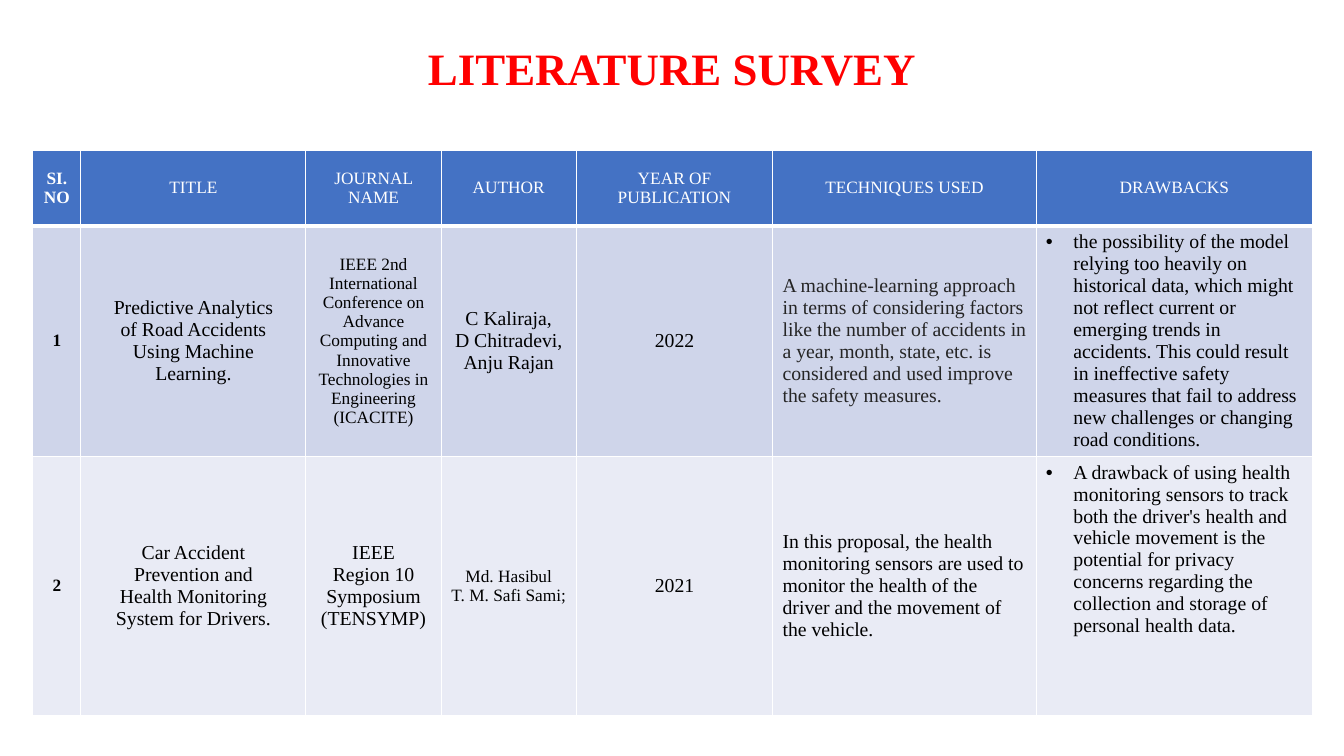
from pptx import Presentation
from pptx import util as u
from pptx.dml.color import RGBColor
from pptx.enum import text
from pptx.oxml import parse_xml
from pptx.oxml.ns import nsdecls

COLORS = {"title": "FF0000", "header": "4472C4", "odd": "CFD5EA", "even": "E9EBF5",
          "white": "FFFFFF", "black": "000000", "gray": "252525"}
FONT = "Times New Roman"
LEFT, CENTER = text.PP_ALIGN.LEFT, text.PP_ALIGN.CENTER
TOP, MIDDLE = text.MSO_ANCHOR.TOP, text.MSO_ANCHOR.MIDDLE

COLUMN_WIDTHS = [0.54, 2.53, 1.52, 1.52, 2.21, 2.96, 3.11]
ROW_HEIGHTS = [0.85, 1.94, 2.92]
HEADERS = ["SI.NO", "TITLE", "JOURNAL NAME", "AUTHOR", "YEAR OF PUBLICATION",
           "TECHNIQUES USED", "DRAWBACKS"]
PAPERS = [
    ["1",
     "Predictive Analytics\nof Road Accidents\nUsing Machine\nLearning.",
     "IEEE 2nd International Conference on Advance Computing and Innovative "
     "Technologies in Engineering (ICACITE)",
     "C Kaliraja,\nD Chitradevi, Anju Rajan",
     "2022",
     "A machine-learning approach in terms of considering factors\n"
     "like the number of accidents in a year, month, state, etc. is\n"
     "considered and used improve the safety measures.",
     "the possibility of the model relying too heavily on historical data, which might "
     "not reflect current or emerging trends in accidents. This could result in "
     "ineffective safety measures that fail to address new challenges or changing "
     "road conditions."],
    ["2",
     "Car Accident\nPrevention and\nHealth Monitoring\nSystem for Drivers.",
     "IEEE\nRegion 10 Symposium (TENSYMP)",
     "Md. Hasibul\nT. M. Safi Sami;",
     "2021",
     "In this proposal, the health monitoring sensors are used to\n"
     "monitor the health of the driver and the movement of the vehicle.",
     "A drawback of using health monitoring sensors to track both the driver's health "
     "and vehicle movement is the potential for privacy concerns regarding the "
     "collection and storage of personal health data."],
]
NUMBER, TECHNIQUES, DRAWBACKS = 0, 5, 6
SMALL_CELLS = {(1, 2), (2, 3)}


def write(frame, content, size=16, color="black", bold=False, align=CENTER,
          spacing=None, bullet=False):
    """Fill a text frame with one paragraph per line of content."""
    for index, line in enumerate(content.split("\n")):
        para = frame.add_paragraph() if index else frame.paragraphs[0]
        para.alignment = align
        if spacing:
            para.line_spacing = spacing
        if bullet:
            properties = para._p.get_or_add_pPr()
            properties.set("marL", str(u.Inches(0.31)))
            properties.set("indent", str(u.Inches(-0.31)))
            properties.append(parse_xml(f'<a:buFont {nsdecls("a")} typeface="Arial"/>'))
            properties.append(parse_xml(f'<a:buChar {nsdecls("a")} char="•"/>'))
        span = para.add_run()
        span.text = line
        span.font.name = FONT
        span.font.size = u.Pt(size)
        span.font.bold = bold
        span.font.color.rgb = RGBColor.from_string(COLORS[color])


class SurveySlide:
    def __init__(self, deck):
        self.page = deck.slides.add_slide(deck.slide_layouts[5])

    def title(self, content, left, top, width, height):
        box = self.page.shapes.title
        box.left, box.top = u.Inches(left), u.Inches(top)
        box.width, box.height = u.Inches(width), u.Inches(height)
        box.text_frame.vertical_anchor = MIDDLE
        write(box.text_frame, content, size=36.3, color="title", bold=True, spacing=0.9)

    def table(self, rows, left, top):
        table = self.page.shapes.add_table(
            len(rows), len(COLUMN_WIDTHS), u.Inches(left), u.Inches(top),
            u.Inches(sum(COLUMN_WIDTHS)), u.Inches(sum(ROW_HEIGHTS))).table
        for column, width in zip(table.columns, COLUMN_WIDTHS):
            column.width = u.Inches(width)
        for row, height in zip(table.rows, ROW_HEIGHTS):
            row.height = u.Inches(height)
        for r, row in enumerate(rows):
            for c, content in enumerate(row):
                self.cell(table.cell(r, c), r, c, content)

    def cell(self, cell, row, column, content):
        header = row == 0
        drawback = column == DRAWBACKS and not header
        self.borders(cell, bottom=3 if header else 1)
        cell.fill.solid()
        fill = ("header", "odd", "even")[row]
        cell.fill.fore_color.rgb = RGBColor.from_string(COLORS[fill])
        cell.margin_left = cell.margin_right = u.Inches(0.11)
        cell.margin_top = cell.margin_bottom = u.Inches(0.06)
        cell.vertical_anchor = TOP if drawback else MIDDLE
        small = header or column == NUMBER or (row, column) in SMALL_CELLS
        color = "white" if header else "gray" if (row, column) == (1, TECHNIQUES) else "black"
        write(cell.text_frame, content, size=14 if small else 16, color=color,
              bold=column == NUMBER, bullet=drawback,
              align=LEFT if column >= TECHNIQUES and not header else CENTER)

    def borders(self, cell, bottom):
        properties = cell._tc.get_or_add_tcPr()
        for side, width in (("L", 1), ("R", 1), ("T", 1), ("B", bottom)):
            properties.append(parse_xml(
                f'<a:ln{side} {nsdecls("a")} w="{u.Pt(width)}"><a:solidFill>'
                f'<a:srgbClr val="{COLORS["white"]}"/></a:solidFill></a:ln{side}>'))


def main():
    deck = Presentation()
    deck.slide_width, deck.slide_height = u.Inches(15.11), u.Inches(8.5)
    slide = SurveySlide(deck)
    slide.title("LITERATURE SURVEY", 1.04, 0.27, 13.03, 1.06)
    slide.table([HEADERS] + PAPERS, 0.37, 1.69)
    deck.save("out.pptx")


if __name__ == "__main__":
    main()
